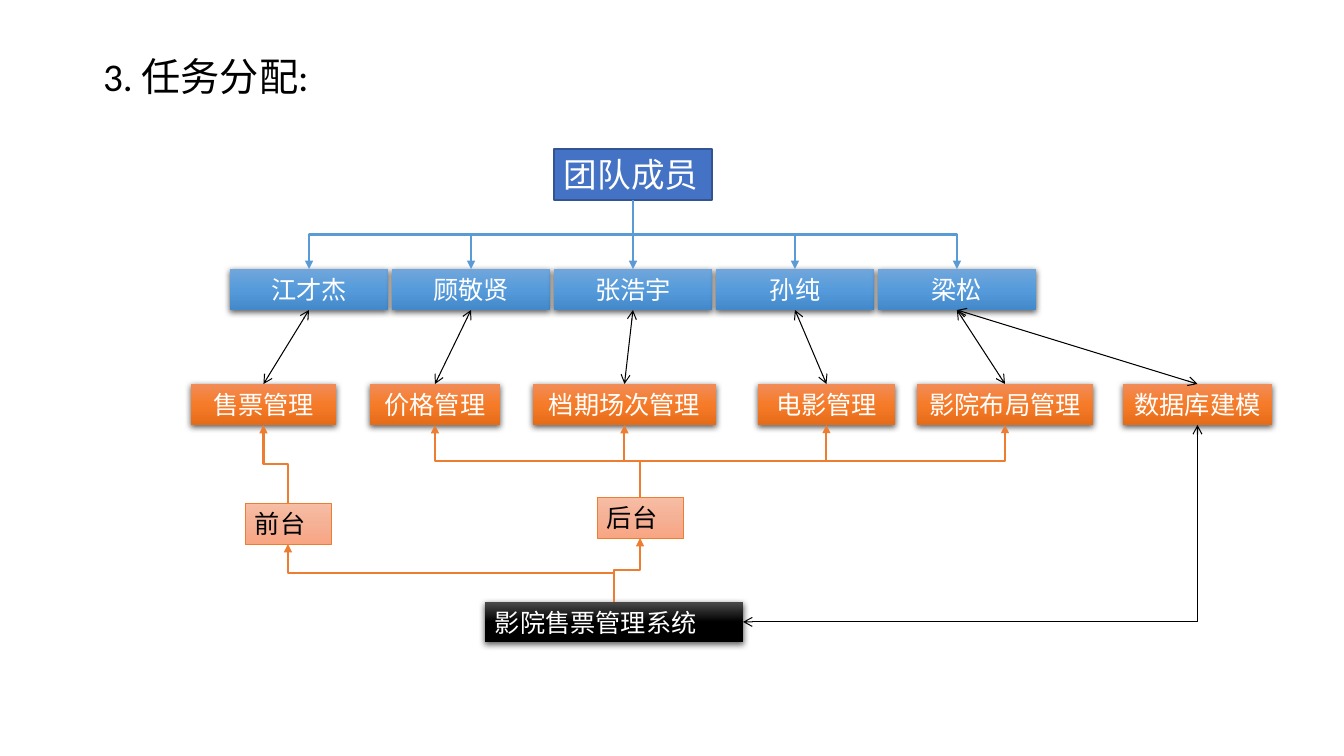
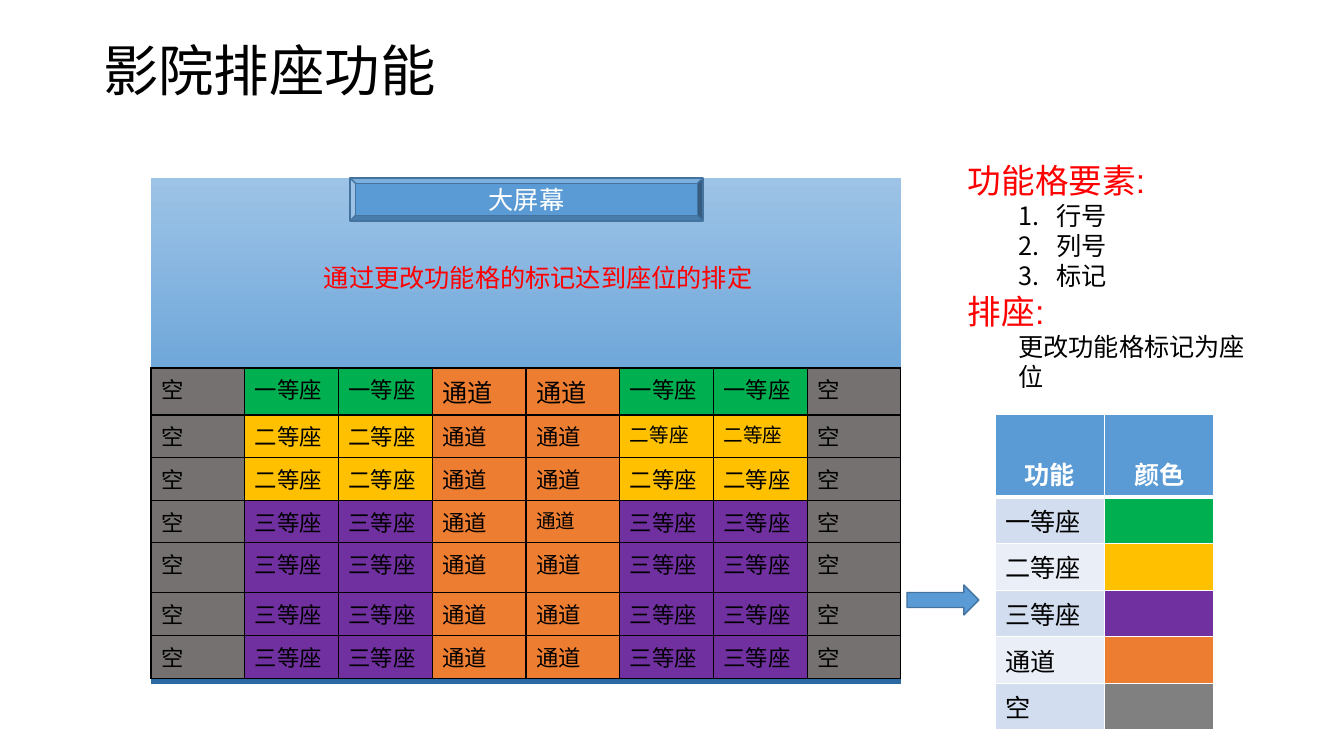
"""Builds two slides: a team task chart and a cinema seating plan."""
from copy import deepcopy
from pptx import Presentation, util as u
from pptx.dml.color import RGBColor as RGB
from pptx.enum import shapes as sh, text as tx
from pptx.oxml import parse_xml
from pptx.oxml.ns import nsdecls, qn
from pptx.oxml.xmlchemy import OxmlElement

PX = 914400 / 100.8
BLACK, WHITE, RED = RGB(0, 0, 0), RGB(255, 255, 255), RGB(255, 0, 0)
BLUE, NAVY = RGB(0x5B, 0x9B, 0xD5), RGB(0x43, 0x73, 0x9E)
ROYAL, EDGE = RGB(0x44, 0x72, 0xC4), RGB(0x32, 0x54, 0x91)
GREEN, GOLD, PURPLE = RGB(0, 0xB0, 0x50), RGB(255, 0xC0, 0), RGB(0x70, 0x30, 0xA0)
ORANGE, GRAY, ASH = RGB(0xED, 0x7D, 0x31), RGB(0x76, 0x71, 0x71), RGB(0x80, 0x80, 0x80)
PALE, LIGHT = RGB(0xD2, 0xDE, 0xEF), RGB(0xEA, 0xEF, 0xF7)
SKY = [RGB.from_string(c) for c in ("71A6DB", "559BDB", "448ACA")]
FIRE = [RGB.from_string(c) for c in ("F18C57", "F67B28", "E56C19")]
PEACH = [RGB.from_string(c) for c in ("F7BDA5", "F5B196", "F8A582")]
COAL = [RGB.from_string(c) for c in ("4B4B4B", "000000", "000000")]
DUSK = [RGB.from_string(c) for c in ("9DC3E6", "609ED6", "2A69A2")]
LEFT, MID = tx.PP_ALIGN.LEFT, tx.PP_ALIGN.CENTER
RECT = sh.MSO_SHAPE.RECTANGLE
SHADOW = (f'<a:outerShdw {nsdecls("a")} blurRad="57150" dist="19050" dir="5400000" algn="ctr" '
          'rotWithShape="0"><a:srgbClr val="000000"><a:alpha val="63000"/></a:srgbClr></a:outerShdw>')


def box(page, at, fill, words="", size=18, color=WHITE, align=MID, kind=RECT,
        line=None, wide=1, shade=False):
    """Draw one filled shape with its text."""
    item = page.shapes.add_shape(kind, *[u.Emu(int(n * PX)) for n in at])
    if isinstance(fill, list):
        item.fill.gradient()
        item.fill.gradient_angle = 270
        stops = item._element.spPr.find(".//" + qn("a:gsLst"))
        stops.insert(1, deepcopy(stops[0]))
        for i, stop in enumerate(item.fill.gradient_stops):
            stop.position, stop.color.rgb = i / 2, fill[i]
    else:
        item.fill.solid()
        item.fill.fore_color.rgb = fill
    if line is None:
        item.line.fill.background()
    else:
        item.line.color.rgb, item.line.width = line, u.Pt(wide)
    item.shadow.inherit = False
    if shade:
        item._element.spPr.find(qn("a:effectLst")).append(parse_xml(SHADOW))
    if words:
        frame = item.text_frame
        frame.text = words
        if kind == RECT:
            frame.vertical_anchor = tx.MSO_ANCHOR.TOP
        para = frame.paragraphs[0]
        para.alignment = align
        para.font.size, para.font.name, para.font.color.rgb = u.Pt(size), "Calibri", color
    return item


def link(page, start, end, color, wide, bend=False, both=False):
    """Join two points, straight or by a bend that leaves vertically."""
    (x, y), (tox, toy) = start, end
    if bend:
        dx, dy, cx, cy = tox - x, toy - y, (x + tox) / 2, (y + toy) / 2
        x, y, tox, toy = cx - dy / 2, cy + dx / 2, cx + dy / 2, cy - dx / 2
    kind = sh.MSO_CONNECTOR.ELBOW if bend else sh.MSO_CONNECTOR.STRAIGHT
    wire = page.shapes.add_connector(kind, *[u.Emu(int(n * PX)) for n in (x, y, tox, toy)])
    props = wire._element.spPr
    if bend:
        props.find(qn("a:xfrm")).set("rot", "5400000")
    wire.line.color.rgb, wire.line.width = color, u.Pt(wide)
    for tag in ("a:headEnd", "a:tailEnd") if both else ("a:tailEnd",):
        tip = OxmlElement(tag)
        tip.set("type", "arrow" if both else "triangle")
        props.find(qn("a:ln")).append(tip)
    props.append(OxmlElement("a:effectLst"))
    return wire


deck = Presentation()
deck.slide_width, deck.slide_height = u.Emu(12192000), u.Emu(6858000)
for words, wide, high, size in (("3. 任务分配:", 384, 78, 28), ("影院排座功能", 413, 67, 39.6)):
    title = deck.slides.add_slide(deck.slide_layouts[5]).shapes.title
    title.left, title.top, title.width, title.height = [
        u.Emu(int(n * PX)) for n in (93, 40, wide, high)]
    title.text_frame.text = words
    title.text_frame.auto_size = tx.MSO_AUTO_SIZE.NONE
    title.text_frame.vertical_anchor = tx.MSO_ANCHOR.MIDDLE
    para = title.text_frame.paragraphs[0]
    para.alignment, para.line_spacing = LEFT, 0.9
    para.font.size, para.font.name, para.font.color.rgb = u.Pt(size), "Calibri", BLACK
tasks, hall = deck.slides

box(tasks, (554, 149, 158, 51), ROYAL, "团队成员", 24, align=LEFT, line=EDGE)
people = []
for i, name in enumerate(("江才杰", "顾敬贤", "张浩宇", "孙纯", "梁松")):
    x = 230 + 162 * i
    box(tasks, (x, 269, 158, 41), SKY, name, shade=True)
    people.append(x + 79)
jobs = []
for x, wide, name in ((191, 145, "售票管理"), (370, 130, "价格管理"), (533, 183, "档期场次管理"),
                      (758, 137, "电影管理"), (917, 176, "影院布局管理"), (1123, 149, "数据库建模")):
    box(tasks, (x, 384, wide, 41), FIRE, name, shade=True)
    jobs.append(x + wide / 2)
for x, y, name in ((245, 503, "前台"), (597, 497, "后台")):
    box(tasks, (x, y, 86, 41), PEACH, name, color=BLACK, align=LEFT, line=ORANGE, wide=0.5)
box(tasks, (485, 602, 258, 40), COAL, "影院售票管理系统", align=LEFT, shade=True)

for x in people:
    link(tasks, (633, 200), (x, 269), BLUE, 1.5, bend=True)
for x, job in zip(people + people[-1:], jobs):
    link(tasks, (x, 310), (job, 384), BLACK, 0.75, both=True)
for job in jobs[1:5]:
    link(tasks, (640, 497), (job, 425), ORANGE, 1.5, bend=True)
link(tasks, (288, 503), (jobs[0], 425), ORANGE, 1.5, bend=True)
for end in ((288, 544), (640, 538)):
    link(tasks, (614, 602), end, ORANGE, 1.5, bend=True)
corner = link(tasks, (743, 622), (jobs[5], 425), BLACK, 0.75, both=True)
corner._element.spPr.find(qn("a:prstGeom")).set("prst", "bentConnector2")

box(hall, (151, 178, 750, 506), DUSK)
box(hall, (350, 178, 353, 43), BLUE, "大屏幕", kind=sh.MSO_SHAPE.BEVEL, line=NAVY)

FIRST, SECOND, THIRD, AISLE, EMPTY = "一等座", "二等座", "三等座", "通道", "空"
tint = {FIRST: GREEN, SECOND: GOLD, THIRD: PURPLE, AISLE: ORANGE, EMPTY: GRAY}
odd = {(0, 3): 18, (0, 4): 18, (1, 5): 14, (1, 6): 14, (3, 4): 14}
seats = []
for r, rank in enumerate([FIRST] + [SECOND] * 2 + [THIRD] * 4):
    names = [EMPTY, rank, rank, AISLE, AISLE, rank, rank, EMPTY]
    seats.append([(name, tint[name], odd.get((r, c), 16)) for c, name in enumerate(names)])
legend = [[("功能", BLUE, 18), ("颜色", BLUE, 18)]]
for r, name in enumerate(tint):
    shade = ASH if name == EMPTY else tint[name]
    legend.append([(name, LIGHT if r % 2 else PALE, 18), ("", shade, 18)])

for at, rows, highs, edge, head in (
        ((151, 368, 750, 310), seats, (47, 42, 43, 42, 50, 43, 43), BLACK, False),
        ((995, 414, 219, 312), legend, (82,) + (46,) * 5, WHITE, True)):
    grid = hall.shapes.add_table(len(rows), len(rows[0]), *[u.Emu(int(n * PX)) for n in at]).table
    grid.first_row = head
    for r, row in enumerate(rows):
        grid.rows[r].height = u.Emu(int(highs[r] * PX))
        top = head and r == 0
        for c, (name, fill, size) in enumerate(row):
            cell = grid.cell(r, c)
            for side in "LRTB":
                thick = 3 if top and side == "B" or head and r == 1 and side == "T" else 1
                cell._tc.get_or_add_tcPr().append(parse_xml(
                    f'<a:ln{side} {nsdecls("a")} w="{thick * 12700}"><a:solidFill>'
                    f'<a:srgbClr val="{edge}"/></a:solidFill></a:ln{side}>'))
            cell.fill.solid()
            cell.fill.fore_color.rgb = fill
            cell.text = name
            para = cell.text_frame.paragraphs[0]
            para.font.size, para.font.name, para.font.bold = u.Pt(size), "Calibri", top
            para.font.color.rgb = WHITE if top else BLACK
            if top:
                para.alignment, para.line_spacing = MID, 2.0

box(hall, (907, 585, 72, 30), BLUE, kind=sh.MSO_SHAPE.RIGHT_ARROW, line=NAVY)

HEAD, NOTE, ITEM, BODY = (24, "Arial", RED), (18, "Calibri", RED), (18, "Calibri", BLACK), (18, "Calibri", BLACK, 0)
ITEM += (342900,)
for at, rows in (
        ((314, 257, 480, 40), [("通过更改功能格的标记达到座位的排定", NOTE)]),
        ((958, 155, 316, 244), [("功能格要素:", HEAD), ("行号", ITEM), ("列号", ITEM), ("标记", ITEM),
                                ("排座:", HEAD), ("更改功能格标记为座位", BODY)])):
    frame = hall.shapes.add_textbox(*[u.Emu(int(n * PX)) for n in at]).text_frame
    frame.word_wrap = True
    frame.text = "\n".join(words for words, look in rows)
    for para, (words, (size, face, color, *hang)) in zip(frame.paragraphs, rows):
        para.font.size, para.font.name, para.font.color.rgb = u.Pt(size), face, color
        if hang:
            para.level = 1
            props = para._p.get_or_add_pPr()
            props.set("marL", str(457200 + hang[0]))
            props.set("indent", str(-hang[0]))
            if hang[0]:
                mark = OxmlElement("a:buAutoNum")
                mark.set("type", "arabicPeriod")
                props.insert(0, mark)

deck.save("out.pptx")
